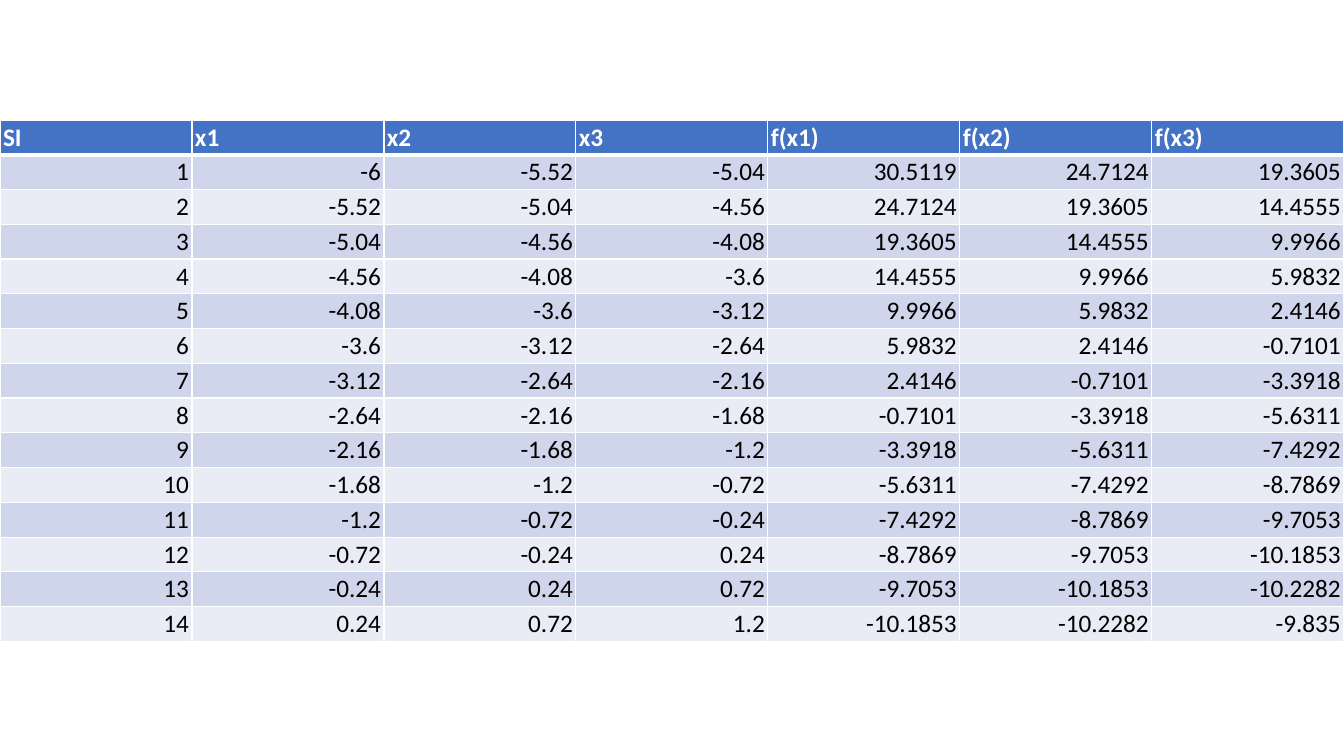
from lxml.etree import SubElement
from pptx import Presentation
from pptx.dml.color import RGBColor
from pptx.enum.text import MSO_ANCHOR as Anchor, PP_ALIGN as Align
from pptx.oxml.ns import qn
from pptx.util import Inches, Pt

# Each table row shows three neighbouring points and their function values.
HEADINGS = ["SI", "x1", "x2", "x3", "f(x1)", "f(x2)", "f(x3)"]
POINTS = [
    ("-6", "30.5119"), ("-5.52", "24.7124"), ("-5.04", "19.3605"),
    ("-4.56", "14.4555"), ("-4.08", "9.9966"), ("-3.6", "5.9832"),
    ("-3.12", "2.4146"), ("-2.64", "-0.7101"), ("-2.16", "-3.3918"),
    ("-1.68", "-5.6311"), ("-1.2", "-7.4292"), ("-0.72", "-8.7869"),
    ("-0.24", "-9.7053"), ("0.24", "-10.1853"), ("0.72", "-10.2282"),
    ("1.2", "-9.835"),
]
WINDOW = 3
COLORS = {
    "header": "4472C4", "odd": "CFD5EA", "even": "E9EBF5",
    "border": "FFFFFF", "header_text": "FFFFFF", "text": "000000",
}
WIDTH, HEIGHT = 13.33, 7.5
TABLE_TOP, TABLE_HEIGHT = 1.19, 5.12


def search_rows():
    """Slide a window over the points and number each step."""
    rows = []
    for start in range(len(POINTS) - WINDOW + 1):
        xs, values = zip(*POINTS[start:start + WINDOW])
        rows.append([str(start + 1), *xs, *values])
    return rows


def add_border(cell, side, points):
    """Draw one solid border of a cell."""
    line = SubElement(cell._tc.get_or_add_tcPr(), qn(f"a:ln{side}"), w=str(Pt(points)))
    fill = SubElement(line, qn("a:solidFill"))
    SubElement(fill, qn("a:srgbClr"), val=COLORS["border"])


def write_cell(cell, text, *, fill, color, bold=False, align=Align.LEFT, bottom=1):
    """Fill a cell with formatted text, borders and background."""
    cell.margin_left = cell.margin_right = Inches(0.03)
    cell.margin_top = cell.margin_bottom = Inches(0.02)
    cell.vertical_anchor = Anchor.BOTTOM
    for side, points in (("L", 1), ("R", 1), ("T", 1), ("B", bottom)):
        add_border(cell, side, points)
    cell.fill.solid()
    cell.fill.fore_color.rgb = RGBColor.from_string(COLORS[fill])
    para = cell.text_frame.paragraphs[0]
    para.alignment = align
    span = para.add_run()
    span.text = text
    span.font.name, span.font.size, span.font.bold = "Calibri", Pt(18), bold
    span.font.color.rgb = RGBColor.from_string(COLORS[color])


deck = Presentation()
deck.slide_width, deck.slide_height = Inches(WIDTH), Inches(HEIGHT)
page = deck.slides.add_slide(deck.slide_layouts[6])

rows = [HEADINGS, *search_rows()]
table = page.shapes.add_table(
    len(rows), len(HEADINGS), 0, Inches(TABLE_TOP), Inches(WIDTH), Inches(TABLE_HEIGHT)
).table

for index, row in enumerate(rows):
    if index == 0:
        style = dict(fill="header", color="header_text", bold=True, bottom=3)
    else:
        style = dict(fill="odd" if index % 2 else "even", color="text",
                     align=Align.RIGHT, bottom=1)
    for column, text in enumerate(row):
        cell = table.cell(index, column)
        write_cell(cell, text, **style)

deck.save("out.pptx")
